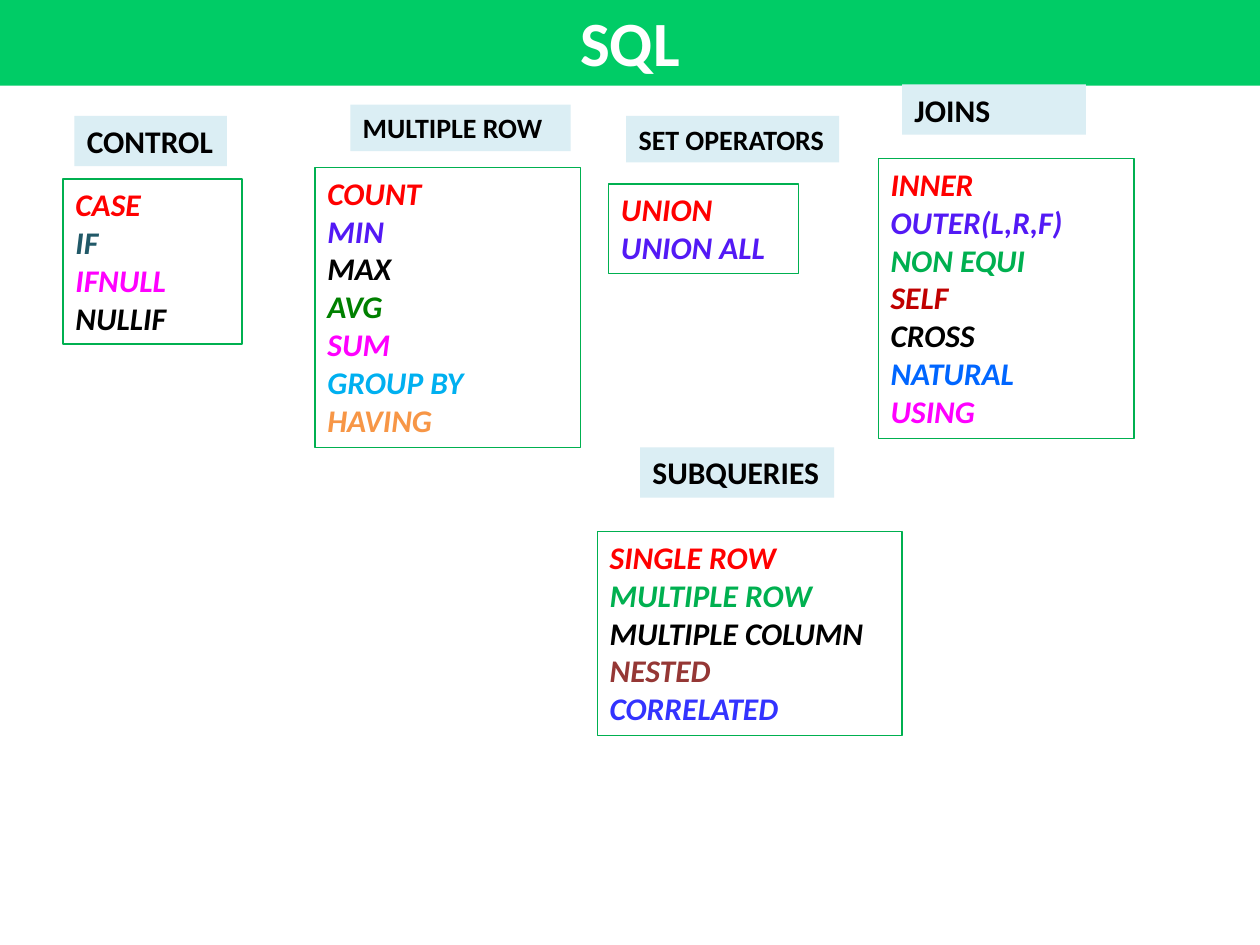
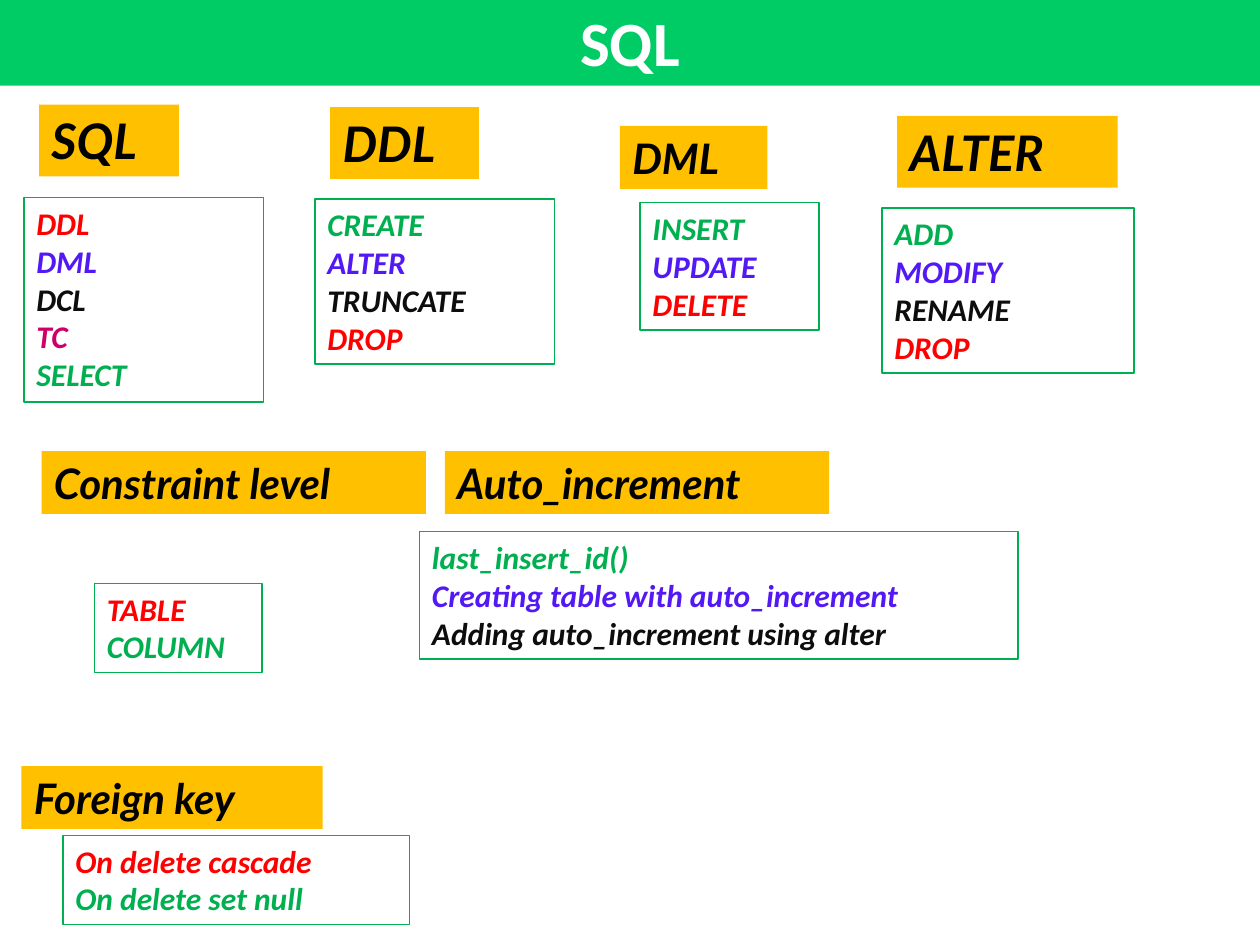
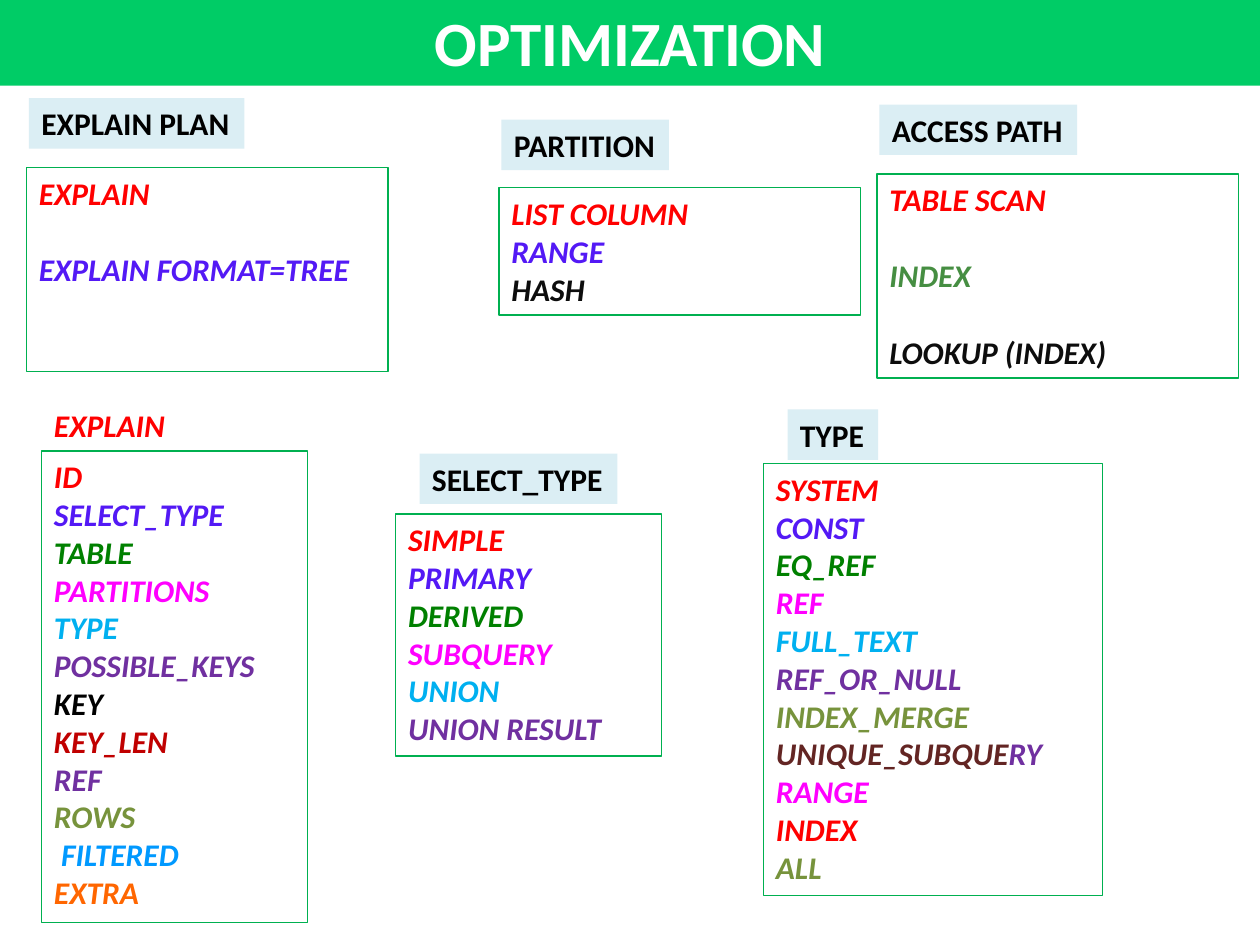
from pptx import Presentation
from pptx.dml.color import RGBColor
from pptx.enum.text import MSO_ANCHOR, MSO_AUTO_SIZE, PP_ALIGN
from pptx.util import Emu, Pt

CENTER, LEFT = PP_ALIGN.CENTER, PP_ALIGN.LEFT
TOP, MIDDLE = MSO_ANCHOR.TOP, MSO_ANCHOR.MIDDLE
NO_AUTOFIT = MSO_AUTO_SIZE.NONE
TITLE_ONLY = 5

# Lengths: 100 px to the inch
SCALE = 9144
PAGE_WIDTH, PAGE_HEIGHT = 1000, 750
ROW_HEIGHT, PADDING = 30.3, 10
SPACED_ROWS = 5
TAG_HEIGHTS = {16: 37, 18: 40, 24: 50, 28: 57}

# Colours
WHITE = RGBColor(0xFF, 0xFF, 0xFF)
BLACK = RGBColor(0x00, 0x00, 0x00)
INK = RGBColor(0x0D, 0x0D, 0x0D)
BAND_GREEN = RGBColor(0x00, 0xCC, 0x66)
PALE_BLUE = RGBColor(0xDB, 0xEE, 0xF4)
AMBER = RGBColor(0xFF, 0xC0, 0x00)
GREEN = RGBColor(0x00, 0xB0, 0x50)
DARK_GREEN = RGBColor(0x00, 0x80, 0x00)
LEAF = RGBColor(0x46, 0x8E, 0x42)
OLIVE = RGBColor(0x77, 0x93, 0x3C)
TEAL = RGBColor(0x21, 0x59, 0x68)
RED = RGBColor(0xFF, 0x00, 0x00)
DARK_RED = RGBColor(0xC0, 0x00, 0x00)
BRICK = RGBColor(0x95, 0x37, 0x35)
MAROON = RGBColor(0x63, 0x25, 0x23)
CRIMSON = RGBColor(0xCC, 0x00, 0x66)
PINK = RGBColor(0xFF, 0x00, 0xFF)
ORANGE = RGBColor(0xFF, 0x66, 0x00)
PEACH = RGBColor(0xF7, 0x96, 0x46)
VIOLET = RGBColor(0x53, 0x19, 0xF5)
PURPLE = RGBColor(0x70, 0x30, 0xA0)
BLUE = RGBColor(0x33, 0x33, 0xFF)
ROYAL = RGBColor(0x00, 0x66, 0xFF)
AZURE = RGBColor(0x00, 0x99, 0xFF)
SKY = RGBColor(0x00, 0xB0, 0xF0)

# Text formats
TITLE_FONT = {"name": "Calibri", "size": Pt(36), "bold": True, "italic": False}
LIST_FONT = {"name": "Calibri", "size": Pt(18), "bold": True, "italic": True}
BLUE_TAG = {"fill": PALE_BLUE, "color": BLACK, "name": "Calibri", "italic": False}
AMBER_TAG = {"fill": AMBER, "color": BLACK, "name": "Lato", "italic": True}
PLAIN_TAG = {"fill": None, "color": RED, "name": "Calibri", "italic": True}

# Topic: tag style, tag, tag size, tag (left, top, width), list (left, top, width),
# gap between lines in points, lines of alternating text and colour
PAGES = [
    ("SQL", [
        (BLUE_TAG, "CONTROL", 18, (59, 92, 121), (50, 142, 142), 0, [
            ("CASE", RED), ("IF", TEAL), ("IFNULL", PINK), ("NULLIF", BLACK)]),
        (BLUE_TAG, "MULTIPLE ROW", 16, (278, 83, 175), (250, 133, 211), 0, [
            ("COUNT", RED), ("MIN", VIOLET), ("MAX", BLACK), ("AVG", DARK_GREEN),
            ("SUM", PINK), ("GROUP BY", SKY), ("HAVING", PEACH)]),
        (BLUE_TAG, "SET OPERATORS", 16, (497, 92, 169), (483, 146, 151), 0, [
            ("UNION", RED), ("UNION ALL", VIOLET)]),
        (BLUE_TAG, "JOINS", 18, (716, 67, 146), (697, 126, 203), 0, [
            ("INNER", RED), ("OUTER(L,R,F)", VIOLET), ("NON EQUI", GREEN),
            ("SELF", DARK_RED), ("CROSS", BLACK), ("NATURAL", ROYAL), ("USING", PINK)]),
        (BLUE_TAG, "SUBQUERIES", 18, (508, 355, 154), (474, 422, 242), 0, [
            ("SINGLE ROW", RED), ("MULTIPLE ROW", GREEN), ("MULTIPLE COLUMN", BLACK),
            ("NESTED", BRICK), ("CORRELATED", BLUE)]),
    ]),
    ("SQL", [
        (AMBER_TAG, "SQL", 28, (31, 83, 111), (19, 157, 190), 0, [
            ("DDL", RED), ("DML", VIOLET), ("DCL", INK), ("TC", CRIMSON),
            ("SELECT", GREEN)]),
        (AMBER_TAG, "DDL", 28, (262, 85, 118), (250, 158, 190), 0, [
            ("CREATE", GREEN), ("ALTER", VIOLET), ("TRUNCATE", INK), ("DROP", RED)]),
        (AMBER_TAG, "DML", 24, (492, 100, 117), (508, 161, 142), 0, [
            ("INSERT", GREEN), ("UPDATE", VIOLET), ("DELETE", RED)]),
        (AMBER_TAG, "ALTER", 28, (712, 92, 175), (700, 165, 200), 0, [
            ("ADD", GREEN), ("MODIFY", VIOLET), ("RENAME", INK), ("DROP", RED)]),
        (AMBER_TAG, "Constraint level", 24, (33, 358, 305), (75, 463, 133), 0, [
            ("TABLE", RED), ("COLUMN", GREEN)]),
        (AMBER_TAG, "Auto_increment", 24, (353, 358, 305), (333, 422, 475), 0, [
            ("last_insert_id()", GREEN),
            ("Creating table with auto_increment", VIOLET),
            ("Adding auto_increment using alter", INK)]),
        (AMBER_TAG, "Foreign key", 24, (17, 608, 239), (50, 663, 275), 0, [
            ("On delete cascade", RED), ("On delete set null", GREEN)]),
    ]),
    ("OPTIMIZATION", [
        (BLUE_TAG, "EXPLAIN PLAN", 18, (23, 78, 171), (21, 133, 287), 22, [
            ("EXPLAIN", RED), ("EXPLAIN FORMAT=TREE", VIOLET)]),
        (BLUE_TAG, "PARTITION", 18, (398, 95, 133), (396, 149, 287), 0, [
            ("LIST COLUMN", RED), ("RANGE", VIOLET), ("HASH", INK)]),
        (BLUE_TAG, "ACCESS PATH", 18, (698, 83, 157), (696, 138, 287), 22, [
            ("TABLE SCAN", RED), ("INDEX", LEAF), ("LOOKUP (INDEX)", INK)]),
        (PLAIN_TAG, "EXPLAIN", 18, (33, 317, 109), (33, 358, 211), 0, [
            ("ID", RED), ("SELECT_TYPE", VIOLET), ("TABLE", DARK_GREEN),
            ("PARTITIONS", PINK), ("TYPE", SKY), ("POSSIBLE_KEYS", PURPLE),
            ("KEY", BLACK), ("KEY_LEN", DARK_RED), ("REF", PURPLE), ("ROWS", OLIVE),
            (" FILTERED", AZURE), ("EXTRA", ORANGE)]),
        (BLUE_TAG, "SELECT_TYPE", 18, (333, 360, 157), (314, 408, 211), 0, [
            ("SIMPLE", RED), ("PRIMARY", VIOLET), ("DERIVED", DARK_GREEN),
            ("SUBQUERY", PINK), ("UNION", SKY), ("UNION RESULT", PURPLE)]),
        (BLUE_TAG, "TYPE", 18, (625, 325, 72), (606, 368, 269), 0, [
            ("SYSTEM", RED), ("CONST", VIOLET), ("EQ_REF", DARK_GREEN), ("REF", PINK),
            ("FULL_TEXT", SKY), ("REF_OR_NULL", PURPLE), ("INDEX_MERGE", OLIVE),
            ("UNIQUE_SUBQUE", MAROON, "RY", PURPLE), ("RANGE", PINK), ("INDEX", RED),
            ("ALL", OLIVE)]),
    ]),
]


def place(box, left, top, width, height):
    for side, length in {"left": left, "top": top, "width": width, "height": height}.items():
        setattr(box, side, Emu(length * SCALE))


def write(box, lines, font, align=LEFT, anchor=TOP, gap=0):
    frame = box.text_frame
    frame_format = {"word_wrap": True, "auto_size": NO_AUTOFIT, "vertical_anchor": anchor}
    for key, value in frame_format.items():
        setattr(frame, key, value)
    for number, line in enumerate(lines):
        para = frame.add_paragraph() if number else frame.paragraphs[0]
        para.alignment = align
        para.space_before = Pt(gap if number else 0)
        for text, color in zip(line[::2], line[1::2]):
            span = para.add_run()
            span.text = text
            for key, value in font.items():
                setattr(span.font, key, value)
            span.font.color.rgb = color


deck = Presentation()
deck.slide_width = Emu(PAGE_WIDTH * SCALE)
deck.slide_height = Emu(PAGE_HEIGHT * SCALE)

for heading, topics in PAGES:
    page = deck.slides.add_slide(deck.slide_layouts[TITLE_ONLY])

    # Title band
    title = page.shapes.title
    place(title, 0, -3, PAGE_WIDTH, 71)
    title.fill.solid()
    title.fill.fore_color.rgb = BAND_GREEN
    write(title, [(heading, WHITE)], TITLE_FONT, CENTER, MIDDLE)

    for style, tag, size, tag_place, list_place, gap, lines in topics:
        # Outlined list
        rows = SPACED_ROWS if gap else len(lines)
        list_box = page.shapes.add_textbox(0, 0, 0, 0)
        place(list_box, *list_place, round(PADDING + ROW_HEIGHT * rows))
        list_box.line.color.rgb = GREEN
        list_box.line.width = Pt(0.75)
        write(list_box, lines, LIST_FONT, gap=gap)

        # Tag above the list
        tag_box = page.shapes.add_textbox(0, 0, 0, 0)
        place(tag_box, *tag_place, TAG_HEIGHTS[size])
        if style["fill"]:
            tag_box.fill.solid()
            tag_box.fill.fore_color.rgb = style["fill"]
        tag_font = {"name": style["name"], "size": Pt(size), "bold": True,
                    "italic": style["italic"]}
        write(tag_box, [(tag, style["color"])], tag_font)

deck.save("out.pptx")
